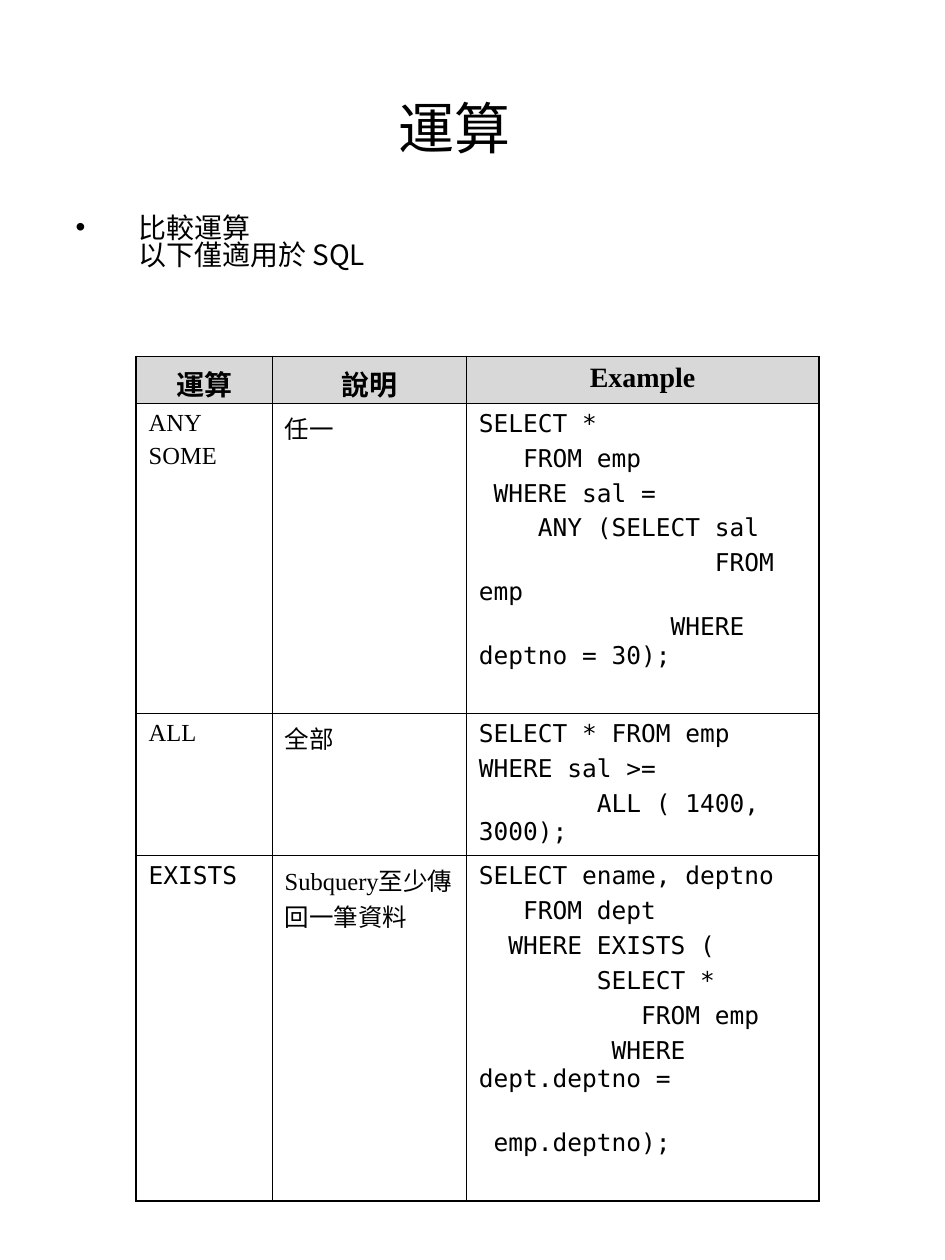
"""Build the slide on SQL comparison operators."""
import dataclasses

import lxml.etree
import pptx
import pptx.dml.color
import pptx.enum.text
import pptx.oxml.ns
import pptx.util

EMU_PER_PX = 9144


def px(length):
    """Turn px into EMU at 100 px to the inch."""
    return pptx.util.Emu(length * EMU_PER_PX)


def add_element(parent, tag, **attributes):
    """Append a DrawingML child and return it."""
    return lxml.etree.SubElement(parent, pptx.oxml.ns.qn(tag), attributes)


@dataclasses.dataclass(frozen=True)
class Theme:
    """Colours, fonts and type sizes of the slide."""
    ink: str = "000000"
    header_fill: str = "B2B2B2"
    header_alpha: str = "50000"
    serif: str = "Times New Roman"
    chinese: str = "Noto Sans CJK TC"
    code: str = "DejaVu Sans Mono"
    title_size: float = 32
    heading_size: float = 16
    cell_size: float = 14
    outer_line: float = 1.08
    inner_line: float = 0.45


class SlideBuilder:
    """Hold the theme and the current slide, and add its elements."""

    def __init__(self, presentation, theme):
        """Add a title-and-content slide to the presentation."""
        self.theme = theme
        self.slide = presentation.slides.add_slide(presentation.slide_layouts[1])

    def format_text(self, text_frame, font_name, size, bold=False, align="LEFT",
                    space_before=0.0, line_spacing=1.0):
        """Format every paragraph and run of a text frame."""
        for paragraph in text_frame.paragraphs:
            paragraph.alignment = getattr(pptx.enum.text.PP_ALIGN, align)
            paragraph.space_before = pptx.util.Pt(space_before)
            paragraph.line_spacing = line_spacing
            for run in paragraph.runs:
                run.font.name = font_name
                run.font.size = pptx.util.Pt(size)
                run.font.bold = bold
                run.font.color.rgb = pptx.dml.color.RGBColor.from_string(self.theme.ink)
                add_element(run.font._element, "a:ea", typeface=self.theme.chinese)

    def place(self, shape, box):
        """Move and size a shape."""
        shape.left, shape.top, shape.width, shape.height = map(px, box)

    def add_title(self, text, box):
        """Fill the title placeholder."""
        shape = self.slide.shapes.title
        self.place(shape, box)
        text_frame = shape.text_frame
        text_frame.text = text
        text_frame.vertical_anchor = pptx.enum.text.MSO_ANCHOR.MIDDLE
        self.format_text(text_frame, self.theme.serif, self.theme.title_size, align="CENTER")

    def add_body(self, lines, box, indent):
        """Fill the body placeholder, with a bullet on its first line only."""
        shape = self.slide.placeholders[1]
        self.place(shape, box)
        text_frame = shape.text_frame
        text_frame.text = "\n".join(lines)
        text_frame.word_wrap = True
        text_frame.auto_size = pptx.enum.text.MSO_AUTO_SIZE.SHAPE_TO_FIT_TEXT
        self.format_text(text_frame, self.theme.chinese, self.theme.heading_size,
                         line_spacing=0.8)
        for index, paragraph in enumerate(text_frame.paragraphs):
            properties = paragraph._p.get_or_add_pPr()
            properties.set("marL", str(px(indent)))
            properties.set("indent", str(0 if index else -px(indent)))
            if index:
                add_element(properties, "a:buNone")
            else:
                add_element(properties, "a:buChar", char="•")

    def add_table(self, rows, box, widths, heights, code_margins):
        """Add the operator table with a header row and a code column."""
        theme = self.theme
        frame = self.slide.shapes.add_table(len(rows), len(widths), *map(px, box))
        table = frame.table
        table.first_row = table.horz_banding = False
        for column, width in zip(table.columns, widths):
            column.width = px(width)
        for row, height in zip(table.rows, heights):
            row.height = px(height)
        last_row, last_column = len(rows) - 1, len(widths) - 1
        for row_index, row in enumerate(rows):
            for column_index, (text, font_name) in enumerate(row):
                cell = table.cell(row_index, column_index)
                is_header = row_index == 0
                cell.text_frame.text = text
                cell.margin_left = cell.margin_right = px(10)
                cell.margin_top = cell.margin_bottom = px(5)
                if column_index == last_column:
                    cell.margin_bottom = px(code_margins[row_index])
                self.format_text(cell.text_frame, font_name,
                                 theme.heading_size if is_header else theme.cell_size,
                                 bold=is_header, align="CENTER" if is_header else "LEFT",
                                 space_before=4 if is_header else 3.5)
                self.style_cell(cell, is_header, {
                    "a:lnL": column_index == 0, "a:lnR": column_index == last_column,
                    "a:lnT": is_header, "a:lnB": row_index == last_row})

    def style_cell(self, cell, is_header, outer_sides):
        """Draw the borders and the fill of a table cell."""
        properties = cell._tc.get_or_add_tcPr()
        for tag, is_outer in outer_sides.items():
            width = self.theme.outer_line if is_outer else self.theme.inner_line
            line = add_element(properties, tag, w=str(pptx.util.Pt(width)))
            add_element(add_element(line, "a:solidFill"), "a:srgbClr", val=self.theme.ink)
        if not is_header:
            cell.fill.background()
            return
        cell.fill.solid()
        cell.fill.fore_color.rgb = pptx.dml.color.RGBColor.from_string(self.theme.header_fill)
        color = properties.find(pptx.oxml.ns.qn("a:solidFill"))[0]
        add_element(color, "a:alpha", val=self.theme.header_alpha)


ANY_QUERY = """SELECT *
   FROM emp
 WHERE sal =
    ANY (SELECT sal
                FROM emp
             WHERE deptno = 30);"""

ALL_QUERY = """SELECT * FROM emp
WHERE sal >=
        ALL ( 1400, 3000);"""

EXISTS_QUERY = """SELECT ename, deptno
   FROM dept
  WHERE EXISTS (
        SELECT *
           FROM emp
         WHERE dept.deptno =
                        emp.deptno);"""


def main():
    """Build and save the presentation."""
    presentation = pptx.Presentation()
    presentation.slide_width, presentation.slide_height = px(750), px(1000)
    theme = Theme()
    builder = SlideBuilder(presentation, theme)
    builder.add_title("運算", (42, 67, 638, 67))
    builder.add_body(["比較運算", "以下僅適用於 SQL"], (50, 167, 658, 64), indent=50)
    rows = [
        [("運算", theme.serif), ("說明", theme.serif), ("Example", theme.serif)],
        [("ANY\nSOME", theme.serif), ("任一", theme.serif), (ANY_QUERY, theme.code)],
        [("ALL", theme.serif), ("全部", theme.serif), (ALL_QUERY, theme.code)],
        [("EXISTS", theme.code), ("Subquery至少傳回一筆資料", theme.serif),
         (EXISTS_QUERY, theme.code)],
    ]
    builder.add_table(rows, (108, 283, 542, 561), widths=(108, 154, 280),
                      heights=(37, 203, 90, 231), code_margins=(5, 30, 5, 30))
    presentation.save("out.pptx")


if __name__ == "__main__":
    main()
